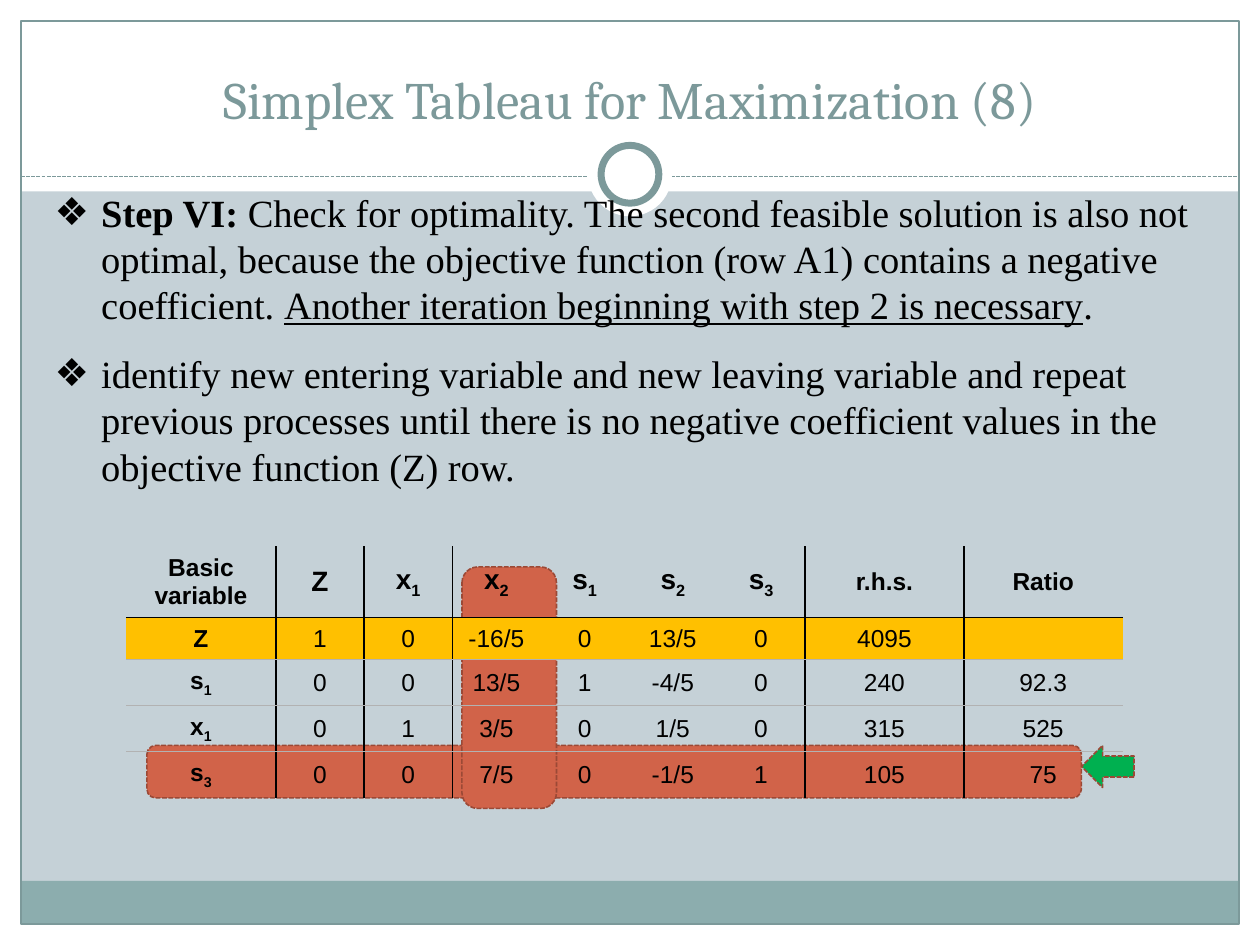
from lxml.etree import SubElement
from pptx import Presentation
from pptx.dml.color import RGBColor
from pptx.enum.dml import MSO_LINE
from pptx.enum.shapes import MSO_CONNECTOR, MSO_SHAPE as Preset
from pptx.enum.text import MSO_ANCHOR as Anchor, MSO_AUTO_SIZE as AutoSize, PP_ALIGN as Align
from pptx.oxml import parse_xml
from pptx.oxml.ns import nsdecls, qn
from pptx.util import Inches, Pt

COLORS = {"paper": "C5D1D7", "white": "FFFFFF", "teal": "7C999A", "band": "8CADAE",
          "red": "D16349", "rust": "9B4936", "green": "00B050", "gold": "FFC000",
          "black": "000000", "gray": "B2B2B2"}
RGB = {name: RGBColor.from_string(value) for name, value in COLORS.items()}
UNIT = Inches(10) // 120  # the slide is 120 columns by 90 rows


def grid(*lengths):
    return [round(length * UNIT) for length in lengths]


def add_block(preset, box, fill=None, line=None, weight=0.75, dash=None):
    """Add a preset shape; box is left, top, width, height in grid units."""
    block = slide.shapes.add_shape(preset, *grid(*box))
    block.shadow.inherit = False
    if fill:
        block.fill.solid()
        block.fill.fore_color.rgb = RGB[fill]
    else:
        block.fill.background()
    if line:
        block.line.color.rgb = RGB[line]
        block.line.width = Pt(weight)
        block.line.dash_style = dash
    else:
        block.line.fill.background()
    return block


prs = Presentation()
prs.slide_width, prs.slide_height = grid(120, 90)
slide = prs.slides.add_slide(prs.slide_layouts[1])
slide.background.fill.solid()
slide.background.fill.fore_color.rgb = RGB["paper"]
title, body = slide.placeholders

# Frame: white margins, footer band, outline, divider and ring
for box, fill in [((0, 88, 120, 2), "white"), ((0, 0, 120, 18.24), "white"),
                  ((0, 0, 2, 90), "white"), ((118, 0, 2, 90), "white"),
                  ((2, 83.9, 116, 4.1), "band")]:
    add_block(Preset.RECTANGLE, box, fill)
add_block(Preset.RECTANGLE, (2, 2, 116, 86), line="teal")
divider = slide.shapes.add_connector(MSO_CONNECTOR.STRAIGHT, *grid(2, 16.8, 118, 16.8))
divider.line.color.rgb = RGB["teal"]
divider.line.width = Pt(0.75)
divider.line.dash_style = MSO_LINE.SQUARE_DOT
SubElement(divider._element.spPr, qn("a:effectLst"))
add_block(Preset.OVAL, (56, 12.6, 8, 8), "white")
add_block(Preset.OVAL, (57.25, 13.85, 5.5, 5.5), "white", "teal", 4)

# Leaving row and entering column
marked = {"line": "rust", "weight": 0.9, "dash": MSO_LINE.SQUARE_DOT}
for box in [(14, 71, 89, 5), (44, 54, 9, 23)]:
    add_block(Preset.ROUNDED_RECTANGLE, box, "red", **marked)

# Title and explanation, brought in front of the frame
for holder, box in [(title, (4, 3, 112, 10)), (body, (4, 17.4, 112, 30.5))]:
    slide.shapes._spTree.append(holder._element)
    holder.left, holder.top, holder.width, holder.height = grid(*box)
title.text_frame.text = "Simplex Tableau for Maximization (8)"
title.text_frame.vertical_anchor = Anchor.BOTTOM
title.text_frame.auto_size = AutoSize.NONE
heading = title.text_frame.paragraphs[0]
heading.alignment = Align.CENTER
heading.font.name, heading.font.size = "Cambria", Pt(30)
heading.font.color.rgb = RGB["teal"]

steps = [
    [("Step VI: ", {"bold": True}),
     ("Check for optimality. The second feasible solution is also not optimal, because "
      "the objective function (row A1) contains a negative coefficient. ", {}),
     ("Another iteration beginning with step 2 is necessary", {"underline": True}),
     (".", {})],
    [("identify new entering variable and new leaving variable and repeat previous "
      "processes until there is no negative coefficient values in the objective "
      "function (Z) row.", {})],
]
body.text_frame.auto_size = AutoSize.SHAPE_TO_FIT_TEXT
for index, step in enumerate(steps):
    paragraph = body.text_frame.add_paragraph() if index else body.text_frame.paragraphs[0]
    paragraph.space_before = Pt(13 if index else 0)
    props = paragraph._p.get_or_add_pPr()
    props.set("marL", str(Inches(0.37)))
    props.set("indent", str(-Inches(0.37)))
    SubElement(props, qn("a:buChar")).set("char", "❖")
    for words, style in step:
        run = paragraph.add_run()
        run.text = words
        look = {"name": "Times New Roman", "size": Pt(22), **style}
        for key, value in look.items():
            setattr(run.font, key, value)
        run.font.color.rgb = RGB["black"]

# Simplex tableau; "_" sets off a subscript
tableau = [
    ["Basic variable", "Z", "x_1", "x_2", "s_1", "s_2", "s_3", "r.h.s.", "Ratio"],
    ["Z", "1", "0", "-16/5", "0", "13/5", "0", "4095", ""],
    ["s_1", "0", "0", "13/5", "1", "-4/5", "0", "240", "92.3"],
    ["x_1", "0", "1", "3/5", "0", "1/5", "0", "315", "525"],
    ["s_3", "0", "0", "7/5", "0", "-1/5", "1", "105", "75"],
]
ruled_after = {0, 1, 6, 7}
last_row = len(tableau) - 1
table = slide.shapes.add_table(len(tableau), len(tableau[0]), *grid(12, 52, 95, 22.8)).table
table.first_row = table.horz_banding = False
table._tbl.tblPr.find(qn("a:tableStyleId")).text = "{2D5ABB26-0587-4C30-8999-92F81FD0307C}"
for column, width in zip(table.columns, [1.19] + [0.7] * 6 + [1.26] * 2):
    column.width = Inches(width)
for row, height in zip(table.rows, [0.44] + [0.31] * 4):
    row.height = Inches(height)

for r, entries in enumerate(tableau):
    for c, entry in enumerate(entries):
        cell = table.cell(r, c)
        cell.vertical_anchor = Anchor.MIDDLE
        paragraph = cell.text_frame.paragraphs[0]
        paragraph.alignment = Align.CENTER
        paragraph.font.size = Pt(14)
        for part, words in enumerate(entry.split("_") if entry else []):
            run = paragraph.add_run()
            run.text = words
            look = {"name": "Arial", "bold": r == 0 or c == 0,
                    "size": Pt(16 if r == 0 and 1 <= c <= 6 else 14)}
            for key, value in look.items():
                setattr(run.font, key, value)
            run.font.color.rgb = RGB["black"]
            if part:
                run.font._rPr.set("baseline", "-25000")
        edges = {"lnL": "black" if c - 1 in ruled_after else None,
                 "lnR": "black" if c in ruled_after else None,
                 "lnT": {0: None, 1: "black"}.get(r, "gray"),
                 "lnB": {0: "black", last_row: None}.get(r, "gray")}
        for edge, color in edges.items():
            if color:
                cell._tc.get_or_add_tcPr().append(parse_xml(
                    f'<a:{edge} {nsdecls("a")} w="12700"><a:solidFill>'
                    f'<a:srgbClr val="{COLORS[color]}"/></a:solidFill></a:{edge}>'))
        if r == 1:
            cell.fill.solid()
            cell.fill.fore_color.rgb = RGB["gold"]
        else:
            cell.fill.background()

pointer = add_block(Preset.RIGHT_ARROW, (103, 71, 5, 4), "green", **marked)
pointer.rotation = 180

prs.save("out.pptx")
